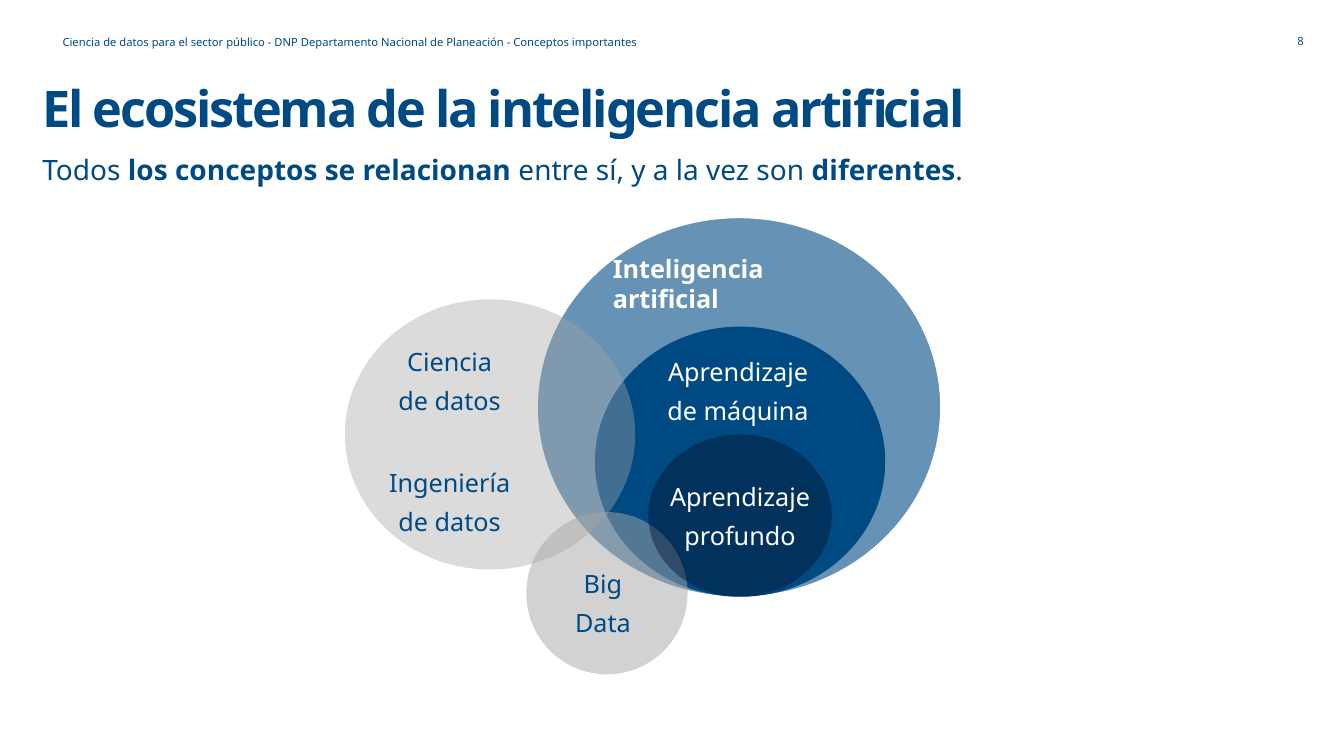
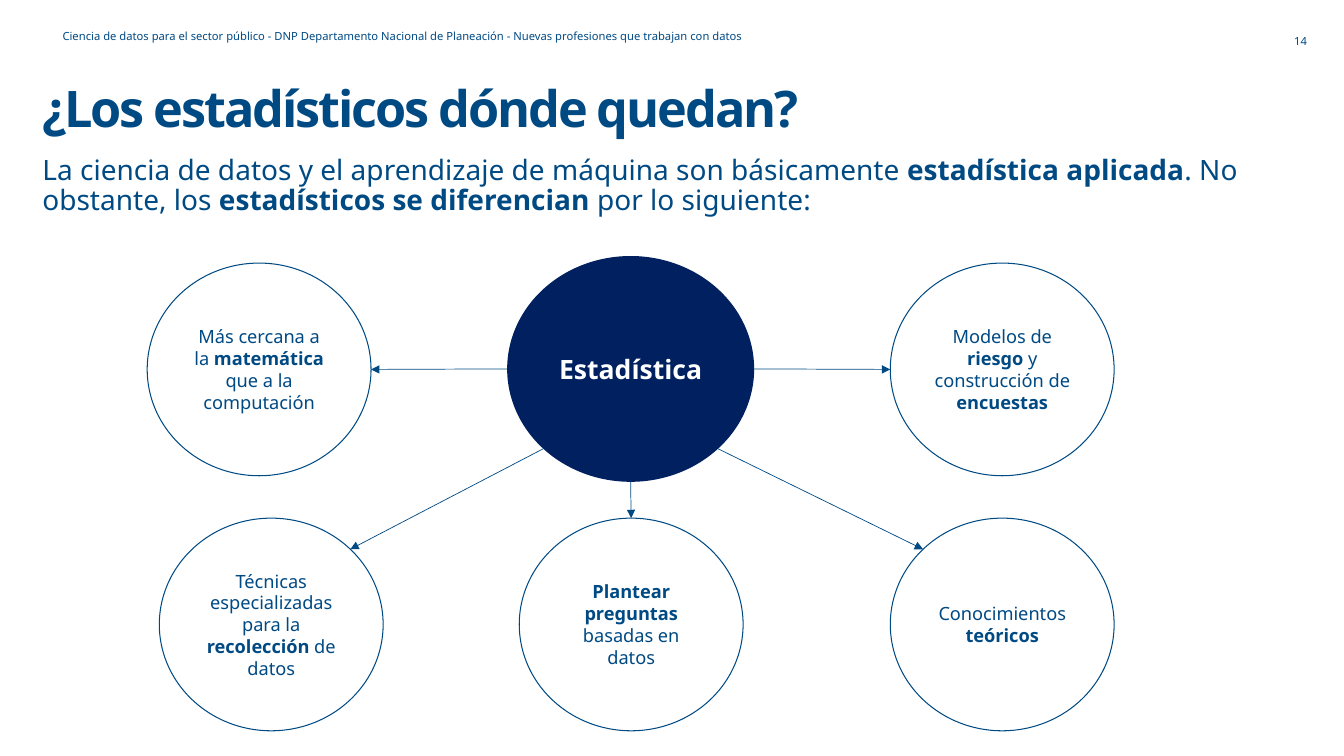
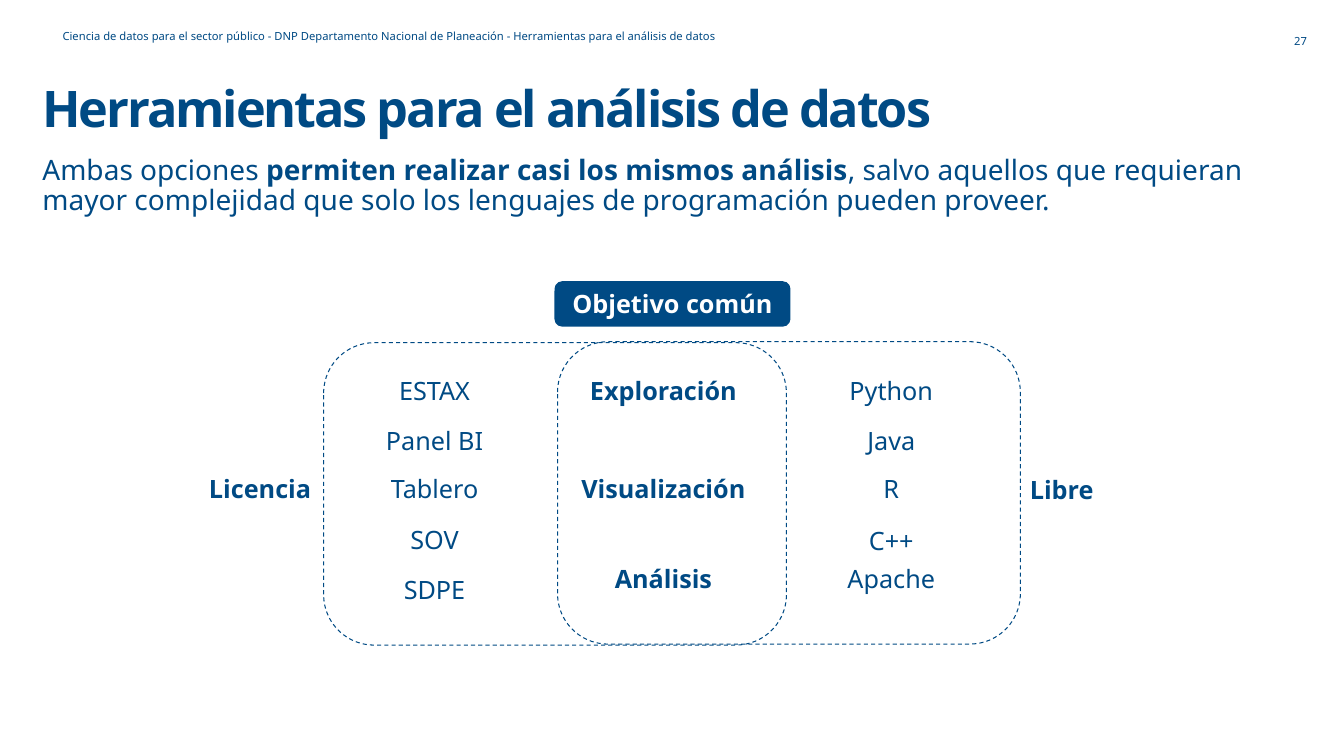
from math import hypot

from lxml import etree
from pptx import Presentation
from pptx.dml.color import RGBColor
from pptx.enum import dml, shapes, text
from pptx.oxml.ns import qn
from pptx.util import Inches, Pt

FONT = "Noto Sans"
BLUE, NAVY, DARK, GREY, WHITE = "004A84", "002060", "03132D", "A6A6A6", "FFFFFF"
LEFT, CENTER = text.PP_ALIGN.LEFT, text.PP_ALIGN.CENTER
TOP, MIDDLE = text.MSO_ANCHOR.TOP, text.MSO_ANCHOR.MIDDLE
OVAL, ROUND = shapes.MSO_SHAPE.OVAL, shapes.MSO_SHAPE.ROUNDED_RECTANGLE

COURSE = "Ciencia de datos para el sector público - DNP Departamento Nacional de Planeación - "

# Double asterisks switch bold on and off
SLIDES = [
    dict(number=8, topic="Conceptos importantes", head_top=0.26,
         title="El ecosistema de la inteligencia artificial",
         intro="Todos **los conceptos se relacionan** entre sí, y a la vez son **diferentes**."),
    dict(number=14, topic="Nuevas profesiones que trabajan con datos", head_top=0.2,
         title="¿Los estadísticos dónde quedan?",
         intro="La ciencia de datos y el aprendizaje de máquina son básicamente "
               "**estadística aplicada**. No obstante, los "
               "**estadísticos se diferencian** por lo siguiente:"),
    dict(number=27, topic="Herramientas para el análisis de datos", head_top=0.2,
         title="Herramientas para el análisis de datos",
         intro="Ambas opciones **permiten realizar casi los mismos análisis**, salvo aquellos "
               "que requieran mayor complejidad que solo los lenguajes de programación "
               "pueden proveer."),
]

# Box, fill, opacity in percent, line
SETS = [
    ((5.33, 2.16, 4, 3.76), BLUE, 60, WHITE),
    ((5.9, 3.24, 2.88, 2.68), BLUE, 100, None),
    ((5.22, 5.08, 1.6, 1.61), GREY, 50, None),
    ((3.42, 2.97, 2.88, 2.68), GREY, 40, None),
    ((6.43, 4.31, 1.82, 1.61), DARK, 44, None),
]
# Lines, centre x, centre y, colour
SET_NAMES = [
    (["Aprendizaje", "de máquina"], 7.32, 3.88, WHITE),
    (["Big", "Data"], 5.98, 5.98, BLUE),
    (["Ciencia", "de datos"], 4.46, 3.78, BLUE),
    (["Ingeniería", "de datos"], 4.46, 4.98, BLUE),
    (["Aprendizaje", "profundo"], 7.34, 5.12, WHITE),
]

HUB = (5.03, 2.54, 2.45, 2.24)
NODE_SIZE = (2.22, 2.11)
# Text, left, top, direction from the hub
NODES = [
    ("Más cercana a la **matemática** que a la computación", 1.46, 2.61, (-1, 0)),
    ("Técnicas especializadas para la **recolección** de datos", 1.58, 5.14, (-1, 1)),
    ("**Plantear preguntas** basadas en datos", 5.15, 5.14, (0, 1)),
    ("Conocimientos **teóricos**", 8.83, 5.14, (1, 1)),
    ("Modelos de **riesgo** y construcción de **encuestas**", 8.83, 2.61, (1, 0)),
]

FRAMES = [(3.21, 3.4, 4.59, 3), (5.53, 3.39, 4.59, 3)]
# Centre x, then each label with its centre y
COLUMNS = [
    (2.58, [("**Licencia**", 4.85)]),
    (4.31, [("ESTAX", 3.87), ("Panel BI", 4.37), ("Tablero", 4.85), ("SOV", 5.35),
            ("SDPE", 5.85)]),
    (6.58, [("**Exploración**", 3.87), ("**Visualización**", 4.85), ("**Análisis**", 5.74)]),
    (8.84, [("Python", 3.87), ("Java", 4.37), ("R", 4.85), ("C++", 5.36), ("Apache", 5.74)]),
    (10.53, [("**Libre**", 4.86)]),
]


def rgb(code):
    return RGBColor.from_string(code)


def write(shape, lines, size, color=BLUE, align=CENTER, anchor=MIDDLE, gap=6, lead=None):
    """Fill a shape with paragraphs in which ** marks bold."""
    frame = shape.text_frame
    frame.word_wrap, frame.vertical_anchor = True, anchor
    frame.auto_size = text.MSO_AUTO_SIZE.NONE
    for i, line in enumerate(lines):
        para = frame.add_paragraph() if i else frame.paragraphs[0]
        para.alignment, para.line_spacing = align, lead
        para.space_before = Pt(gap if i else 0)
        for j, part in enumerate(line.split("**")):
            if part:
                run = para.add_run()
                run.text = part
                font = run.font
                font.name, font.size, font.bold = FONT, Pt(size), j % 2 == 1
                font.color.rgb = rgb(color)


def hold(slide, idx, box, line, size, **style):
    """Move and fill a placeholder, without bullet or indent."""
    item = slide.placeholders[idx]
    item.left, item.top, item.width, item.height = map(Inches, box)
    write(item, [line], size, align=LEFT, **style)
    props = item.text_frame.paragraphs[0]._p.get_or_add_pPr()
    props.set("marL", "0")
    props.set("indent", "0")
    etree.SubElement(props, qn("a:buNone"))
    return item


def label(slide, lines, x, y, size=18, color=BLUE, wide=2, high=0.8, align=CENTER):
    """Add a text box centred on a point."""
    box = slide.shapes.add_textbox(
        Inches(x - wide / 2), Inches(y - high / 2), Inches(wide), Inches(high))
    write(box, lines, size, color, align)


def draw(slide, kind, box, fill=None, line=None, alpha=100):
    shape = slide.shapes.add_shape(kind, *map(Inches, box))
    shape.shadow.inherit = False
    if fill:
        shape.fill.solid()
        shape.fill.fore_color.rgb = rgb(fill)
        if alpha < 100:
            tint = shape._element.spPr.find(".//" + qn("a:srgbClr"))
            etree.SubElement(tint, qn("a:alpha"), val=str(alpha * 1000))
    else:
        shape.fill.background()
    if line:
        shape.line.color.rgb = rgb(line)
        shape.line.width = Pt(0.75)
    else:
        shape.line.fill.background()
    return shape


def rim(box, dx, dy):
    """Point of an ellipse in a given direction."""
    x, y, w, h = box
    size = hypot(dx, dy)
    return Inches(x + w / 2 * (1 + dx / size)), Inches(y + h / 2 * (1 + dy / size))


def arrow(slide, start, end):
    link = slide.shapes.add_connector(shapes.MSO_CONNECTOR.STRAIGHT, *start, *end)
    link.line.color.rgb = rgb(BLUE)
    link.line.width = Pt(0.5)
    etree.SubElement(link.line._get_or_add_ln(), qn("a:tailEnd"), type="triangle")
    etree.SubElement(link._element.spPr, qn("a:effectLst"))


def start(deck, page):
    """Add a slide with its title, intro, header and number."""
    slide = deck.slides.add_slide(deck.slide_layouts[3])
    title = hold(slide, 0, (0.32, 0.78, 12.7, 0.61), f"**{page['title']}**", 36,
                 anchor=TOP, lead=0.9)
    for run in title.text_frame.paragraphs[0].runs:
        run._r.get_or_add_rPr().set("spc", "-150")
    hold(slide, 1, (0.32, 1.5, 12.7, 0.39), page["intro"], 20, anchor=TOP, lead=0.9)
    hold(slide, 2, (0.52, page["head_top"], 11.71, 0.31), COURSE + page["topic"], 8)
    label(slide, [str(page["number"])], 12.9, 0.41, 8, wide=0.4, high=0.24)
    return slide


def venn(slide):
    for box, fill, alpha, line in SETS:
        draw(slide, OVAL, box, fill, line, alpha)
    label(slide, ["**Inteligencia artificial**"], 6.98, 2.81, color=WHITE, align=LEFT)
    for lines, x, y, color in SET_NAMES:
        label(slide, lines, x, y, color=color)


def radial(slide):
    write(draw(slide, OVAL, HUB, NAVY), ["**Estadística**"], 19, WHITE)
    for words, x, y, (dx, dy) in NODES:
        box = (x, y, *NODE_SIZE)
        write(draw(slide, OVAL, box, line=BLUE), [words], 13)
        arrow(slide, rim(HUB, dx, dy), rim(box, -dx, -dy))


def tools(slide):
    for box in FRAMES:
        draw(slide, ROUND, box, line=BLUE).line.dash_style = dml.MSO_LINE.DASH
    write(draw(slide, ROUND, (5.5, 2.79, 2.34, 0.45), BLUE), ["**Objetivo común**"], 18, WHITE)
    for x, items in COLUMNS:
        for name, y in items:
            label(slide, [name], x, y, high=0.4)


def main():
    deck = Presentation()
    deck.slide_width, deck.slide_height = Inches(13.33), Inches(7.5)
    for page, body in zip(SLIDES, (venn, radial, tools)):
        body(start(deck, page))
    deck.save("out.pptx")


if __name__ == "__main__":
    main()
